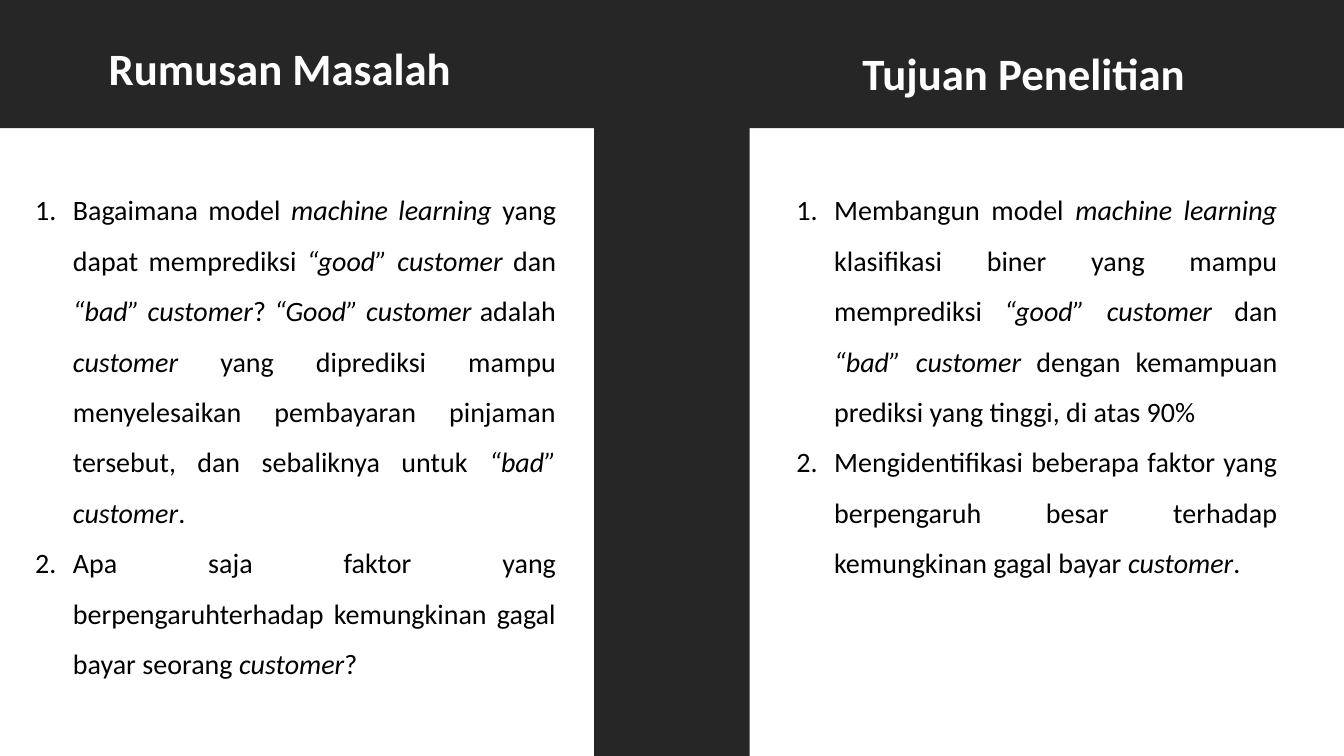
from lxml import etree
from pptx import Presentation
from pptx.dml.color import RGBColor
from pptx.enum.shapes import MSO_SHAPE
from pptx.enum.text import MSO_AUTO_SIZE, PP_ALIGN
from pptx.oxml.ns import qn
from pptx.util import Pt

RECTANGLE = MSO_SHAPE.RECTANGLE
JUSTIFY = PP_ALIGN.JUSTIFY
FIT_SHAPE = MSO_AUTO_SIZE.SHAPE_TO_FIT_TEXT

# Content: asterisks enclose italic words; boxes are left, top, width, height in px
SECTIONS = [
    {
        "heading": "Rumusan Masalah",
        "heading_box": (94, 34, 374, 61),
        "list_box": (24, 163, 515, 488),
        "points": [
            "Bagaimana model *machine learning* yang dapat memprediksi "
            "*“good” customer *dan *“bad” customer*? *“Good” customer* adalah "
            "*customer* yang diprediksi mampu menyelesaikan pembayaran pinjaman "
            "tersebut, dan sebaliknya untuk* “bad” customer*.",
            "Apa saja faktor yang berpengaruhterhadap kemungkinan gagal bayar "
            "seorang *customer*?",
        ],
    },
    {
        "heading": "Tujuan Penelitian",
        "heading_box": (812, 39, 350, 61),
        "list_box": (749, 163, 477, 488),
        "points": [
            "Membangun model *machine learning* klasifikasi biner yang mampu "
            "memprediksi *“good” customer* dan *“bad” customer* dengan kemampuan "
            "prediksi yang tinggi, di atas 90%",
            "Mengidentifikasi beberapa faktor yang berpengaruh besar terhadap "
            "kemungkinan gagal bayar *customer*.",
        ],
    },
]
HEADER_BAND = (0, -1, 1280, 123)
CENTER_BAND = (566, 0, 148, 720)

COLORS = {"band": "262626", "heading": "FFFFFF", "body": "000000"}
FONT = "Calibri"
PX = 9525
WIDTH, HEIGHT = 1280, 720
INDENT = 36


def scaled(box):
    return [length * PX for length in box]


def add_band(slide, box):
    shape = slide.shapes.add_shape(RECTANGLE, *scaled(box))
    shape.shadow.inherit = False
    shape.fill.solid()
    shape.fill.fore_color.rgb = RGBColor.from_string(COLORS["band"])
    shape.line.fill.background()


def add_text_frame(slide, box, wrap):
    frame = slide.shapes.add_textbox(*scaled(box)).text_frame
    frame.word_wrap = wrap
    frame.auto_size = FIT_SHAPE
    return frame


def set_font(paragraph, size, color, bold=False):
    paragraph.font.name = FONT
    paragraph.font.size = Pt(size)
    paragraph.font.bold = bold
    paragraph.font.color.rgb = RGBColor.from_string(COLORS[color])


def add_heading(slide, text, box):
    paragraph = add_text_frame(slide, box, False).paragraphs[0]
    paragraph.text = text
    set_font(paragraph, 32, "heading", bold=True)


def number_paragraph(paragraph):
    properties = paragraph._p.get_or_add_pPr()
    properties.set("marL", str(INDENT * PX))
    properties.set("indent", str(-INDENT * PX))
    numbering = etree.Element(qn("a:buAutoNum"), type="arabicPeriod")
    properties.find(qn("a:defRPr")).addprevious(numbering)


def add_numbered_list(slide, points, box):
    frame = add_text_frame(slide, box, True)
    for index, point in enumerate(points):
        paragraph = frame.add_paragraph() if index else frame.paragraphs[0]
        paragraph.alignment = JUSTIFY
        paragraph.line_spacing = 1.5
        set_font(paragraph, 20, "body")
        number_paragraph(paragraph)
        # Every second part lies between asterisks
        for part, text in enumerate(point.split("*")):
            if text:
                run = paragraph.add_run()
                run.text = text
                run.font.italic = part % 2 == 1


def main():
    presentation = Presentation()
    presentation.slide_width, presentation.slide_height = scaled((WIDTH, HEIGHT))
    slide = presentation.slides.add_slide(presentation.slide_layouts[6])

    # Dark bands behind the text
    for band in (HEADER_BAND, CENTER_BAND):
        add_band(slide, band)

    # Headings and numbered lists
    for section in SECTIONS:
        add_heading(slide, section["heading"], section["heading_box"])
        add_numbered_list(slide, section["points"], section["list_box"])

    presentation.save("out.pptx")


if __name__ == "__main__":
    main()
